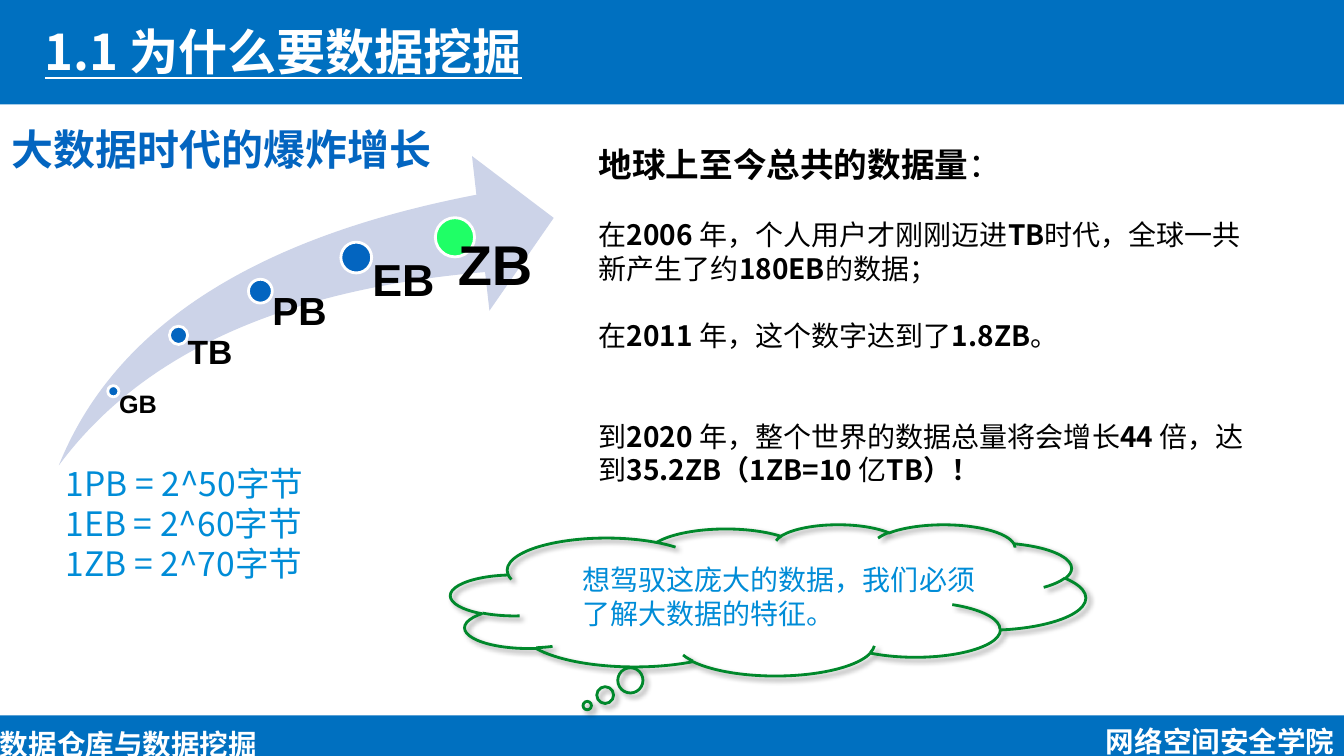
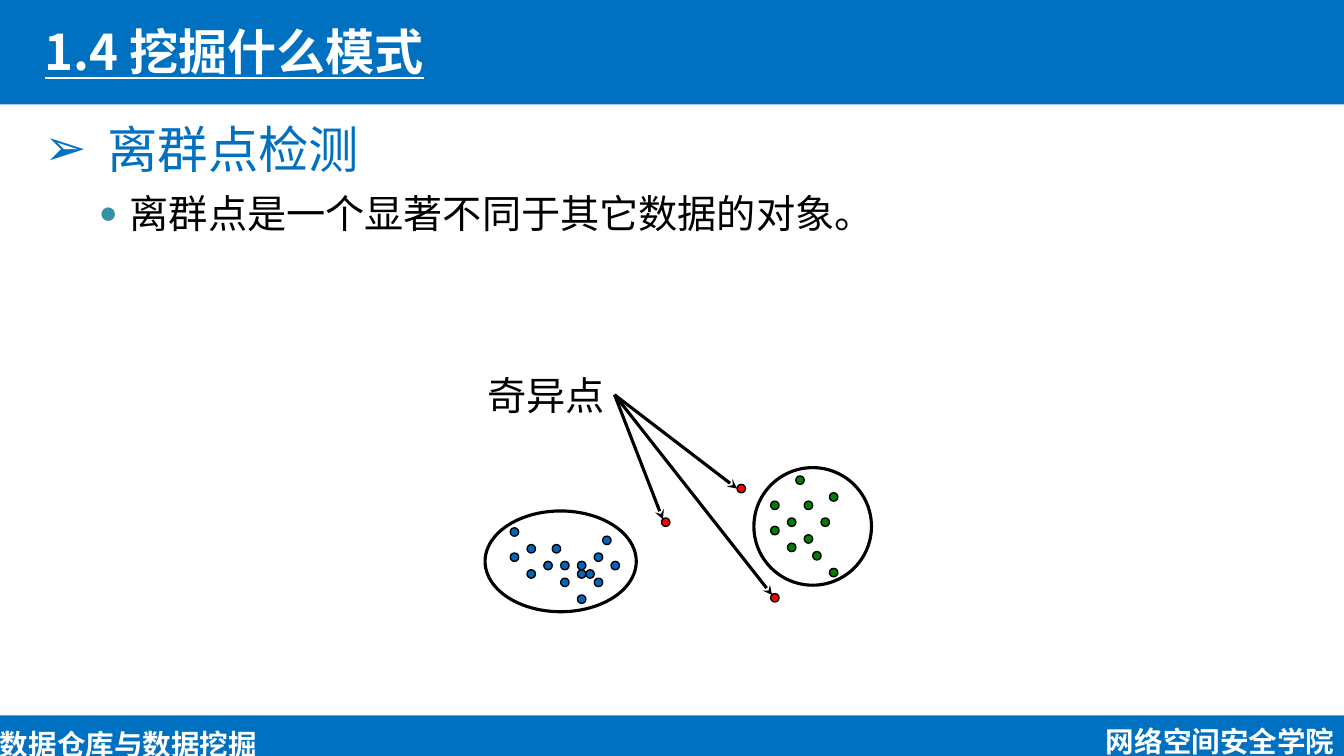
from lxml import etree
from pptx import Presentation
from pptx import util as u
from pptx.dml import color
from pptx.enum import shapes, text
from pptx.oxml import ns

Pt = u.Pt
RGB = color.RGBColor
WHITE = RGB(0xFF, 0xFF, 0xFF)
BLACK = RGB(0, 0, 0)
BAND_BLUE = RGB(0x00, 0x70, 0xC0)
DOT_BLUE = RGB(0x03, 0x65, 0xC0)
TEXT_BLUE = RGB(0x00, 0x8C, 0xD7)
SWOOSH_GREY = RGB(0xCC, 0xD3, 0xE8)
BRIGHT_GREEN = RGB(0x1F, 0xFF, 0x66)
CLOUD_GREEN = RGB(0x00, 0x88, 0x2B)
DOT_GREEN = RGB(0x00, 0x80, 0x00)
RED = RGB(0xFF, 0, 0)
BULLET_TEAL = RGB(0x38, 0x91, 0xA7)
CJK = "Noto Sans CJK SC"

SHAPE = shapes.MSO_SHAPE
LEFT, RIGHT = text.PP_ALIGN.LEFT, text.PP_ALIGN.RIGHT
TOP, MIDDLE = text.MSO_ANCHOR.TOP, text.MSO_ANCHOR.MIDDLE
WIDTH, HEIGHT = 960, 540
GRID = 6  # spacing of the scatter points, and their diameter


def add_xml(parent, tag, **attributes):
    return etree.SubElement(parent, ns.qn(tag), attributes)


def place(shape, box):
    shape.left, shape.top, shape.width, shape.height = map(Pt, box)


def write(shape, lines, size, ink, font=CJK, bold=False, underline=False,
          align=LEFT, anchor=TOP, inset=(7.2, 3.6), wrap=True,
          spacing=None, before=None, sizes=None):
    """Fill a shape with paragraphs; text between asterisks is bold."""
    frame = shape.text_frame
    frame.clear()
    frame.auto_size = text.MSO_AUTO_SIZE.NONE
    frame.word_wrap = wrap
    frame.vertical_anchor = anchor
    frame.margin_left = frame.margin_right = Pt(inset[0])
    frame.margin_top = frame.margin_bottom = Pt(inset[1])
    for index, line in enumerate(lines):
        paragraph = frame.paragraphs[0] if index == 0 else frame.add_paragraph()
        paragraph.alignment = align
        paragraph.space_before = Pt(before[index] if before else 0)
        line_size = sizes[index] if sizes else size
        if spacing == "tight":
            paragraph.line_spacing = 0.9
        elif spacing:
            paragraph.line_spacing = Pt(round(line_size * spacing, 1))
        for part, words in enumerate(line.split("*")):
            if not words:
                continue
            run = paragraph.add_run()
            run.text = words
            run.font.size = Pt(line_size)
            run.font.name = font
            run.font.bold = bold or part % 2 == 1
            run.font.underline = underline
            run.font.color.rgb = ink[index] if isinstance(ink, list) else ink
    for properties in shape.element.iter(ns.qn("a:rPr")):
        add_xml(properties, "a:ea", typeface=CJK)


def add_text(slide, box, lines, size, ink, **style):
    shape = slide.shapes.add_textbox(*map(Pt, box))
    write(shape, lines, size, ink, **style)
    return shape


def add_shape(slide, kind, box, fill=None, line=None, weight=1):
    shape = slide.shapes.add_shape(kind, *map(Pt, box))
    shape.shadow.inherit = False
    if fill is None:
        shape.fill.background()
    else:
        shape.fill.solid()
        shape.fill.fore_color.rgb = fill
    if line is None:
        shape.line.fill.background()
    else:
        shape.line.color.rgb = line
        shape.line.width = Pt(weight)
    return shape


def set_bullets(shape, bullets):
    """Give each paragraph (margin, indent, character, colour, percent)."""
    for properties, bullet in zip(shape.element.iter(ns.qn("a:pPr")), bullets):
        margin, indent, character, ink, percent = bullet
        properties.set("marL", str(Pt(margin)))
        properties.set("indent", str(Pt(indent)))
        if character is None:
            add_xml(properties, "a:buNone")
            continue
        add_xml(add_xml(properties, "a:buClr"), "a:srgbClr", val=str(ink))
        add_xml(properties, "a:buSzPct", val=str(percent * 1000))
        add_xml(properties, "a:buFont", typeface="Arial")
        add_xml(properties, "a:buChar", char=character)


def build_layout(presentation, layout):
    """Put the bands and footers on the layout, behind its placeholders."""
    slide = presentation.slides[0]
    footer = dict(bold=True, anchor=MIDDLE, inset=(0, 0), wrap=False)
    parts = [
        add_shape(slide, SHAPE.RECTANGLE, (0, -1.5, WIDTH, 76), BAND_BLUE),
        add_shape(slide, SHAPE.RECTANGLE, (0, 511, WIDTH, 29), BAND_BLUE),
        add_text(slide, (790, 519, 170, 21), ["网络空间安全学院"], 20.4, WHITE, **footer),
        add_text(slide, (0, 521, 186, 21), ["数据仓库与数据挖掘"], 20.4, WHITE, **footer),
    ]
    for position, part in enumerate(parts, start=2):
        layout.shapes.element.insert(position, part.element)


def add_title(slide, title):
    place(slide.shapes.title, (32, 7, 629, 59))
    write(slide.shapes.title, [title], 35.1, WHITE, bold=True, underline=True,
          anchor=MIDDLE, inset=(0, 0))


def draw_growth(slide, left, top, width, height):
    """Rising arrow with one labelled dot per data unit."""
    arrow = add_shape(slide, SHAPE.SWOOSH_ARROW, (left, top, width, height), SWOOSH_GREY)
    arrow.adjustments[0] = arrow.adjustments[1] = 0.25
    units = [  # name, centre x, centre y, diameter, text size, label gap, colour
        ("GB", 39, 168, 8, 18, 4, DOT_BLUE),
        ("TB", 85.5, 128, 13, 24, 6.5, DOT_BLUE),
        ("PB", 144, 96.5, 17, 28, 8.5, DOT_BLUE),
        ("EB", 212.5, 72.5, 22, 32, 11.5, DOT_BLUE),
        ("ZB", 283, 58, 28, 40, 2, BRIGHT_GREEN),
    ]
    for name, x, y, diameter, size, gap, fill in units:
        x, y = left + x, top + y
        add_shape(slide, SHAPE.OVAL, (x - diameter / 2, y - diameter / 2, diameter, diameter),
                  fill, WHITE, 2)
        add_text(slide, (x + gap, y, 70, size * 1.3), [name], size, BLACK, font="Arial",
                 bold=True, inset=(0, 0), wrap=False, spacing="tight")


def draw_cloud(slide, left, top, width, height):
    """Thought cloud with its message."""
    add_text(slide, (left + 87, top + 24, 307, 56),
             ["想驾驭这庞大的数据，我们必须了解大数据的特征。"], 20, TEXT_BLUE, spacing=1.2)
    cloud = add_shape(slide, SHAPE.CLOUD_CALLOUT, (left, top, width, height),
                      line=CLOUD_GREEN, weight=2)
    cloud.adjustments[0], cloud.adjustments[1] = -0.285, 0.699
    effects = cloud.element.find(".//" + ns.qn("a:effectLst"))
    shadow = add_xml(effects, "a:outerShdw", blurRad=str(Pt(4)), dist=str(Pt(3)),
                     dir="2700000", algn="tl", rotWithShape="0")
    ink = add_xml(shadow, "a:srgbClr", val=str(BLACK))
    add_xml(ink, "a:alpha", val="40000")


def build_growth_slide(slide):
    add_title(slide, "1.1 为什么要数据挖掘")
    draw_growth(slide, 42, 111.5, 353.5, 221)
    draw_cloud(slide, 322, 374.5, 453.5, 108)
    add_text(slide, (8, 88, 302, 36), ["大数据时代的爆炸增长"], 30, DOT_BLUE, font="Arial",
             bold=True, inset=(0, 0), wrap=False, spacing=1.2)
    add_text(slide, (40, 327.5, 273, 94),
             ["1PB = 2^50字节", "1EB = 2^60字节", "1ZB = 2^70字节"],
             24, TEXT_BLUE, spacing=1.19)
    # Facts on the world's data
    body = slide.placeholders[1]
    place(body, (420.5, 99, 480, 254))
    write(body, [
        "*地球上至今总共的数据量*：",
        "在*2006 *年，个人用户才刚刚迈进*TB*时代，全球一共新产生了约*180EB*的数据；",
        "在*2011 *年，这个数字达到了*1.8ZB*。",
        "到*2020 *年，整个世界的数据总量将会增长*44 *倍，达到*35.2ZB（1ZB=10 *亿*TB）！*",
    ], 20, BLACK, sizes=[24, 20, 20, 20], spacing=1.2, before=[0, 24, 24, 48])
    set_bullets(body, [(0, 0, None, None, None)] * 4)


def draw_points(slide, left, top, cells, fill):
    for column, row in cells:
        add_shape(slide, SHAPE.OVAL, (left + column * GRID, top + row * GRID, GRID, GRID),
                  fill, BLACK)


def draw_cluster(slide, box, cells, fill):
    """Outlined group of points on a grid that starts at the box's corner."""
    draw_points(slide, box[0], box[1], cells, fill)
    add_shape(slide, SHAPE.OVAL, box, line=BLACK, weight=2.25)


def draw_outliers(slide, left, top, label_box):
    """Red points, each pointed at from the label."""
    label = add_text(slide, label_box, ["奇异点"], 28, BLACK, font="Courier New",
                     align=RIGHT, anchor=MIDDLE, wrap=False)
    outliers = [(-2, 2, 0, 3), (-11, 6, 1, 1), (2, 15, 1, 1)]  # cell, arrow tip offset
    draw_points(slide, left, top, [outlier[:2] for outlier in outliers], RED)
    for column, row, tip_x, tip_y in outliers:
        arrow = slide.shapes.add_connector(
            shapes.MSO_CONNECTOR.STRAIGHT, 0, 0,
            Pt(left + column * GRID + tip_x), Pt(top + row * GRID + tip_y))
        arrow.begin_connect(label, 3)
        arrow.line.color.rgb = BLACK
        arrow.line.width = Pt(2.25)
        properties = arrow.element.spPr
        add_xml(properties.find(ns.qn("a:ln")), "a:tailEnd", type="stealth")
        add_xml(properties, "a:effectLst")


def build_outlier_slide(slide):
    add_title(slide, "1.4 挖掘什么模式")
    body = slide.placeholders[1]
    place(body, (24.5, 80.5, 922, 128))
    write(body, ["离群点检测", "离群点是一个显著不同于其它数据的对象。"], 28,
          [BAND_BLUE, BLACK], font="Calibri", sizes=[36, 28], spacing=1.2, before=[0, 8])
    set_bullets(body, [(45, -45, "➢", BAND_BLUE, 100), (61, -22, "●", BULLET_TEAL, 80)])
    # Two clusters and the points outside them
    draw_cluster(slide, (538.5, 334, 84, 84),
                 [(2, 7), (4, 9), (4, 6), (6, 8), (2, 4), (6, 4), (8, 6), (7, 10),
                  (9, 3), (5, 1), (9, 12)], DOT_GREEN)
    draw_cluster(slide, (346.5, 365, 108, 72),
                 [(3, 2), (3, 5), (5, 4), (5, 7), (7, 6), (9, 6), (8, 4), (11, 7),
                  (11, 6), (9, 8), (13, 8), (12, 7), (13, 5), (15, 6), (14, 3), (11, 10)],
                 DOT_BLUE)
    draw_outliers(slide, 538.5, 334, (340.5, 261.5, 98.5, 41))


def main():
    presentation = Presentation()
    presentation.slide_width, presentation.slide_height = Pt(WIDTH), Pt(HEIGHT)
    layout = presentation.slide_layouts[1]
    growth, outlier = [presentation.slides.add_slide(layout) for _ in range(2)]
    build_layout(presentation, layout)
    build_growth_slide(growth)
    build_outlier_slide(outlier)
    presentation.save("out.pptx")


if __name__ == "__main__":
    main()
